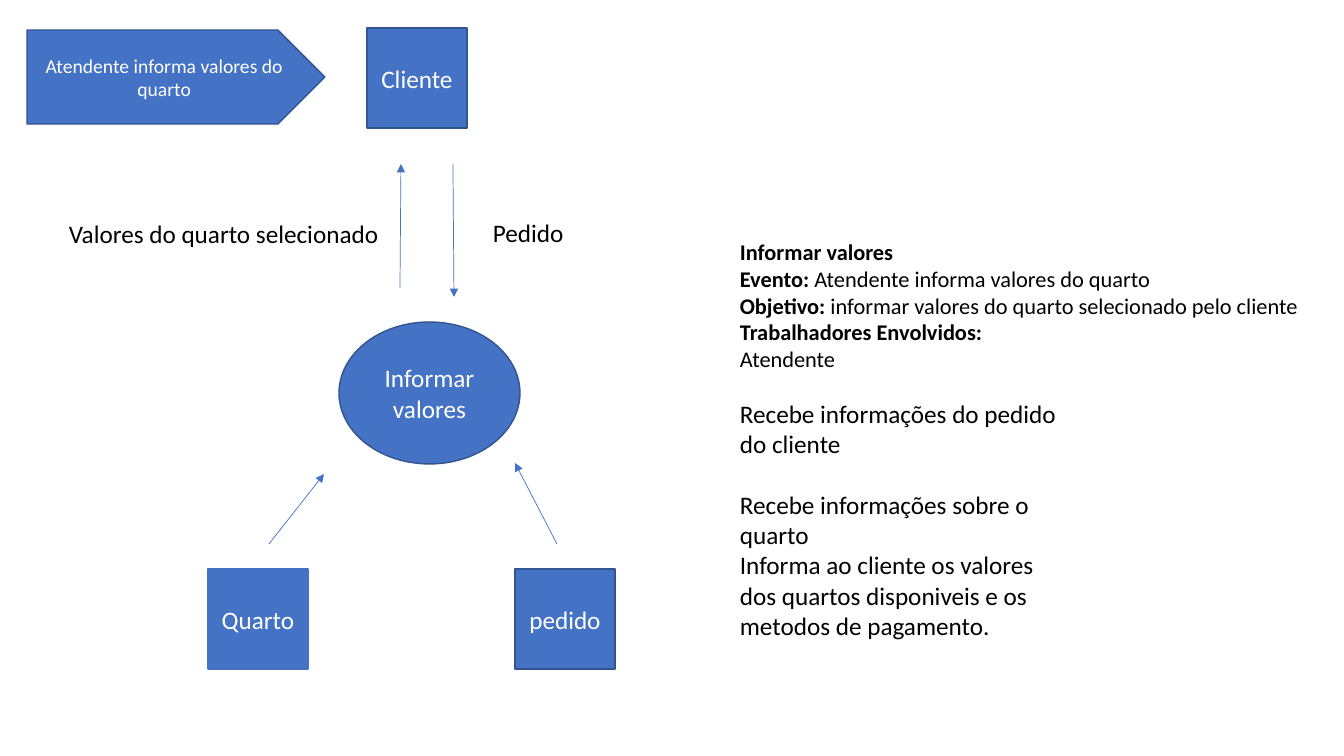
"""Builds the process slide for informing room prices."""
from lxml.etree import SubElement
from pptx import Presentation
from pptx.dml.color import RGBColor
from pptx.enum.shapes import MSO_CONNECTOR, MSO_SHAPE as SHAPE
from pptx.enum.text import MSO_ANCHOR, MSO_AUTO_SIZE, PP_ALIGN as ALIGN
from pptx.oxml.ns import qn
from pptx.util import Pt

BLUE = RGBColor(0x44, 0x72, 0xC4)
DARK_BLUE = RGBColor(0x32, 0x54, 0x91)
WHITE = RGBColor(0xFF, 0xFF, 0xFF)
BLACK = RGBColor(0, 0, 0)
SCALE = 914400 / 100.8


def px(*lengths):
    return [round(length * SCALE) for length in lengths]


def write(frame, paragraphs, size, color, align):
    frame.word_wrap = True
    for index, runs in enumerate(paragraphs):
        paragraph = frame.add_paragraph() if index else frame.paragraphs[0]
        paragraph.alignment = align
        paragraph.font.name = "Calibri"
        paragraph.font.size = Pt(size)
        paragraph.font.color.rgb = color
        for text, bold in runs:
            run = paragraph.add_run()
            run.text = text
            run.font.bold = bold


deck = Presentation()
deck.slide_width, deck.slide_height = px(1344, 756)
slide = deck.slides.add_slide(deck.slide_layouts[6])

nodes = [
    (SHAPE.RECTANGLE, (367, 28, 100, 100), DARK_BLUE, 18, "Cliente"),
    (SHAPE.OVAL, (339, 322, 181, 142), DARK_BLUE, 18, "Informar valores"),
    (SHAPE.PENTAGON, (27, 30, 298, 94), DARK_BLUE, 14, "Atendente informa valores do quarto"),
    (SHAPE.RECTANGLE, (208, 569, 100, 100), BLUE, 18, "Quarto"),
    (SHAPE.RECTANGLE, (515, 569, 100, 100), DARK_BLUE, 18, "pedido"),
]
for kind, box, outline, size, label in nodes:
    node = slide.shapes.add_shape(kind, *px(*box))
    node.shadow.inherit = False
    node.fill.solid()
    node.fill.fore_color.rgb = BLUE
    node.line.color.rgb = outline
    node.line.width = Pt(1)
    node.text_frame.vertical_anchor = MSO_ANCHOR.MIDDLE
    write(node.text_frame, [[(label, False)]], size, WHITE, ALIGN.CENTER)

flows = [
    (400, 288, 401, 164),
    (453, 164, 454, 297),
    (269, 544, 324, 474),
    (557, 544, 515, 463),
]
for ends in flows:
    flow = slide.shapes.add_connector(MSO_CONNECTOR.STRAIGHT, *px(*ends))
    flow.line.color.rgb = BLUE
    flow.line.width = Pt(0.5)
    SubElement(flow.line._get_or_add_ln(), qn("a:tailEnd"), type="triangle")
    SubElement(flow._element.spPr, qn("a:effectLst"))

summary = [
    [("Informar valores", True)],
    [("Evento:", True), ("\u00a0Atendente informa valores do quarto", False)],
    [("Objetivo:", True), ("\u00a0informar valores do quarto selecionado pelo cliente", False)],
    [("Trabalhadores Envolvidos:", True)],
    [("Atendente", False)],
]
steps = [
    [("Recebe informações do pedido do cliente", False)],
    [("Recebe informações sobre o quarto", False)],
    [("Informa ao cliente os valores dos quartos disponiveis e os metodos de pagamento.", False)],
]
notes = [
    ((730, 233, 620, 146), summary, 16, ALIGN.JUSTIFY),
    ((59, 213, 427, 40), [[("Valores do quarto selecionado", False)]], 18, ALIGN.LEFT),
    ((483, 212, 197, 40), [[("Pedido", False)]], 18, ALIGN.LEFT),
    ((730, 393, 342, 254), steps, 18, ALIGN.LEFT),
]
for box, paragraphs, size, align in notes:
    frame = slide.shapes.add_textbox(*px(*box)).text_frame
    write(frame, paragraphs, size, BLACK, align)
    frame.auto_size = MSO_AUTO_SIZE.SHAPE_TO_FIT_TEXT
    if paragraphs is steps:
        frame.paragraphs[0].space_after = Pt(22)

deck.save("out.pptx")
